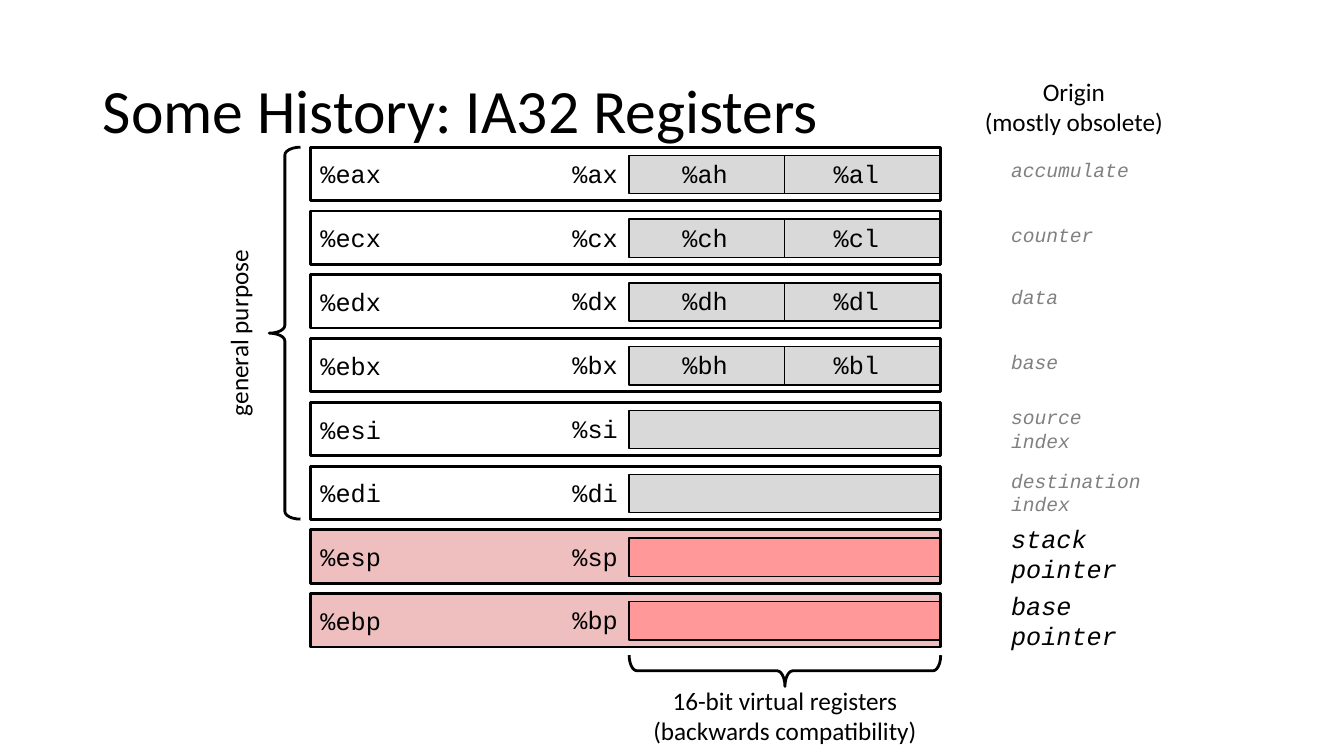
from dataclasses import dataclass

from lxml import etree
from pptx import Presentation
from pptx import util as u
from pptx.dml import color
from pptx.enum import shapes, text
from pptx.oxml import ns

BLACK, WHITE, GREY, MUTED = "000000", "FFFFFF", "D9D9D9", "808080"
PINK, RED = "EFBFBF", "FF9999"
SANS, MONO = "Calibri", "Courier New"
LEFT, CENTRE = text.PP_ALIGN.LEFT, text.PP_ALIGN.CENTER

FIRST_TOP, ROW_PITCH, ROW_HEIGHT = 1.46, 4.43 / 7, 0.53
ROW_LEFT, ROW_WIDTH = 3.08, 6.25
HALF_LEFT, HALF_WIDTH, HALF_HEIGHT = 6.24, 3.08, 0.38
WORD_LEFT, HIGH_LEFT, LOW_LEFT, ORIGIN_LEFT = 5.58, 6.67, 8.17, 9.93


@dataclass(frozen=True)
class Box:
    left: float
    top: float
    width: float
    height: float

    def lengths(self) -> list:
        return [u.Inches(v) for v in (self.left, self.top, self.width, self.height)]


@dataclass(frozen=True)
class Register:
    full: str
    word: str
    origin: str
    origin_top: float
    high: str = ""
    low: str = ""
    is_pointer: bool = False


@dataclass(frozen=True)
class Brace:
    box: Box
    rotation: int


@dataclass(frozen=True)
class Caption:
    wording: str
    box: Box
    align: text.PP_ALIGN = CENTRE
    rotation: int = 0


REGISTERS = [
    Register("%eax", "%ax", "accumulate", 1.52, "%ah", "%al"),
    Register("%ecx", "%cx", "counter", 2.16, "%ch", "%cl"),
    Register("%edx", "%dx", "data", 2.78, "%dh", "%dl"),
    Register("%ebx", "%bx", "base", 3.42, "%bh", "%bl"),
    Register("%esi", "%si", "source\nindex", 3.97),
    Register("%edi", "%di", "destination\nindex", 4.6),
    Register("%esp", "%sp", "stack\npointer", 5.14, is_pointer=True),
    Register("%ebp", "%bp", "base\npointer", 5.81, is_pointer=True),
]
BRACES = [
    Brace(Box(7.63, 5.11, 0.31, 3.09), 90),
    Brace(Box(2.67, FIRST_TOP, 0.31, 3.69), 180),
]
CAPTIONS = [
    Caption("16-bit virtual registers\n(backwards compatibility)", Box(6.33, 6.75, 2.91, 0.71)),
    Caption("general purpose", Box(1.42, 3.08, 1.89, 0.4), LEFT, 270),
    Caption("Origin\n(mostly obsolete)", Box(9.64, 0.71, 2.02, 0.71)),
]


def rgb(hex_value: str) -> color.RGBColor:
    return color.RGBColor.from_string(hex_value)


def apply(target, values: dict) -> None:
    for name, value in values.items():
        setattr(target, name, value)


def write(frame, wording: str, size: int, face: str, ink: str = BLACK,
          align=LEFT, italic: bool = False, spacing: float = 1.0) -> None:
    frame.text = wording
    for paragraph in frame.paragraphs:
        apply(paragraph, {"alignment": align, "line_spacing": spacing})
        for run in paragraph.runs:
            apply(run.font, {"size": u.Pt(size), "name": face, "italic": italic})
            run.font.color.rgb = rgb(ink)


def add_label(slide, wording: str, box: Box, size: int, face: str, ink: str = BLACK,
              align=LEFT, italic: bool = False, rotation: int = 0) -> None:
    label = slide.shapes.add_textbox(*box.lengths())
    label.rotation = rotation
    apply(label.text_frame, {"word_wrap": False,
                             "auto_size": text.MSO_AUTO_SIZE.SHAPE_TO_FIT_TEXT})
    write(label.text_frame, wording, size, face, ink, align, italic)


def add_code(slide, wording: str, left: float, top: float, size: int = 18,
             ink: str = BLACK, italic: bool = False) -> None:
    lines = wording.split("\n")
    width = 0.22 + max(map(len, lines)) * size / 120
    box = Box(left, top, width, 0.1 + len(lines) * size / 60)
    add_label(slide, wording, box, size, MONO, ink, italic=italic)


def add_bar(slide, box: Box, fill: str, weight: float, wording: str = "") -> None:
    bar = slide.shapes.add_shape(shapes.MSO_SHAPE.RECTANGLE, *box.lengths())
    bar.shadow.inherit = False
    bar.fill.solid()
    bar.fill.fore_color.rgb = rgb(fill)
    bar.line.color.rgb = rgb(BLACK)
    bar.line.width = u.Pt(weight)
    if wording:
        apply(bar.text_frame, {"word_wrap": False, "vertical_anchor": text.MSO_ANCHOR.MIDDLE})
        write(bar.text_frame, wording, 18, MONO)


def add_divider(slide, x: float, top: float, bottom: float) -> None:
    ends = [u.Inches(v) for v in (x, top, x, bottom)]
    divider = slide.shapes.add_connector(shapes.MSO_CONNECTOR.STRAIGHT, *ends)
    divider.line.color.rgb = rgb(BLACK)
    divider.line.width = u.Pt(1)
    etree.SubElement(divider._element.spPr, ns.qn("a:effectLst"))


def add_register(slide, register: Register, top: float) -> None:
    row_fill, half_fill = (PINK, RED) if register.is_pointer else (WHITE, GREY)
    half_top = top + 0.08
    add_bar(slide, Box(ROW_LEFT, top, ROW_WIDTH, ROW_HEIGHT), row_fill, 2, register.full)
    add_bar(slide, Box(HALF_LEFT, half_top, HALF_WIDTH, HALF_HEIGHT), half_fill, 1)
    add_code(slide, register.word, WORD_LEFT, top + 0.06)
    if register.high:
        add_divider(slide, HALF_LEFT + HALF_WIDTH / 2, half_top, half_top + HALF_HEIGHT)
        add_code(slide, register.high, HIGH_LEFT, top + 0.06)
        add_code(slide, register.low, LOW_LEFT, top + 0.06)
    size, ink = (18, BLACK) if register.is_pointer else (14, MUTED)
    add_code(slide, register.origin, ORIGIN_LEFT, register.origin_top, size, ink, True)


def add_brace(slide, brace: Brace) -> None:
    curve = slide.shapes.add_shape(shapes.MSO_SHAPE.RIGHT_BRACE, *brace.box.lengths())
    curve.rotation = brace.rotation
    curve.adjustments[0], curve.adjustments[1] = 0.25, 0.5
    curve.shadow.inherit = False
    curve.fill.background()
    curve.line.color.rgb = rgb(BLACK)
    curve.line.width = u.Pt(2)


def main() -> None:
    deck = Presentation()
    apply(deck, {"slide_width": u.Inches(13.33), "slide_height": u.Inches(7.5)})
    slide = deck.slides.add_slide(deck.slide_layouts[5])

    title = slide.shapes.title
    places = Box(0.92, 0.4, 11.5, 1.45).lengths()
    apply(title, dict(zip(("left", "top", "width", "height"), places)))
    title.text_frame.vertical_anchor = text.MSO_ANCHOR.MIDDLE
    write(title.text_frame, "Some History: IA32 Registers", 44, SANS, spacing=0.9)

    for index, register in enumerate(REGISTERS):
        add_register(slide, register, FIRST_TOP + index * ROW_PITCH)
    for brace in BRACES:
        add_brace(slide, brace)
    for caption in CAPTIONS:
        add_label(slide, caption.wording, caption.box, 18, SANS,
                  align=caption.align, rotation=caption.rotation)

    deck.save("out.pptx")


if __name__ == "__main__":
    main()
